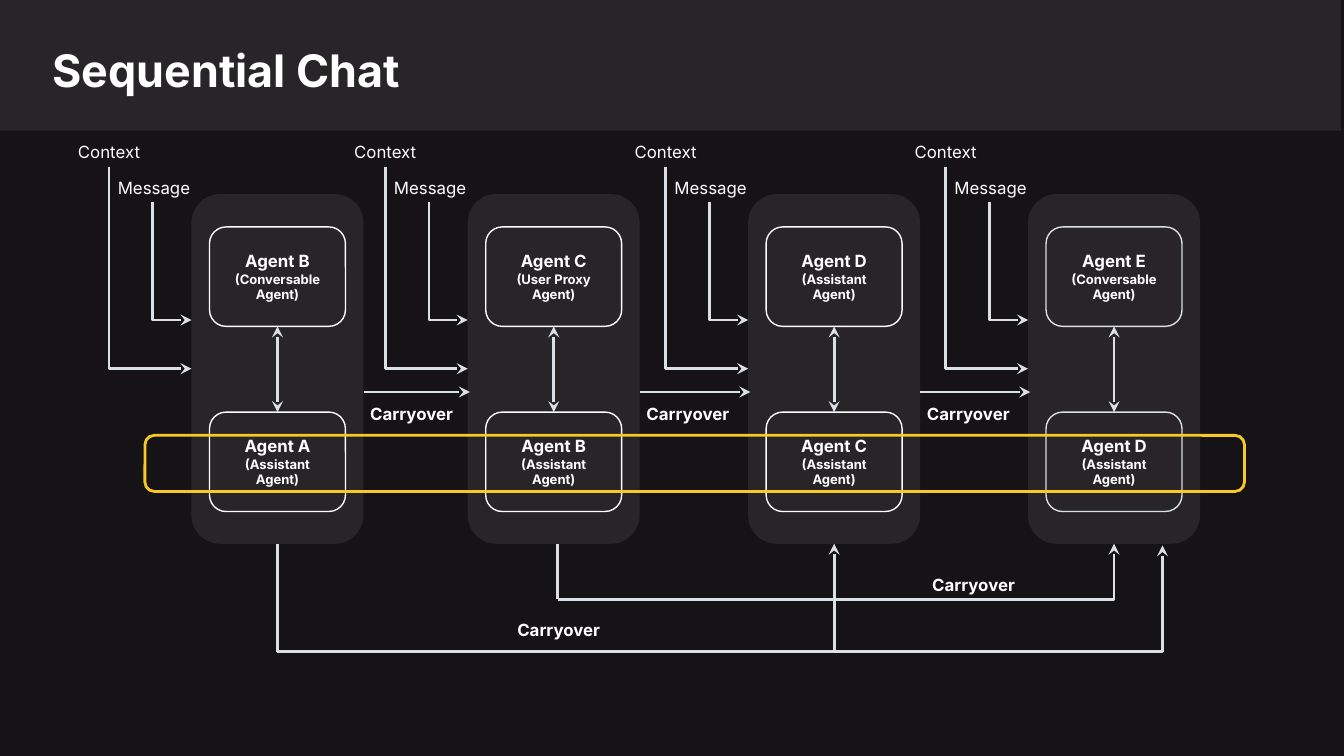
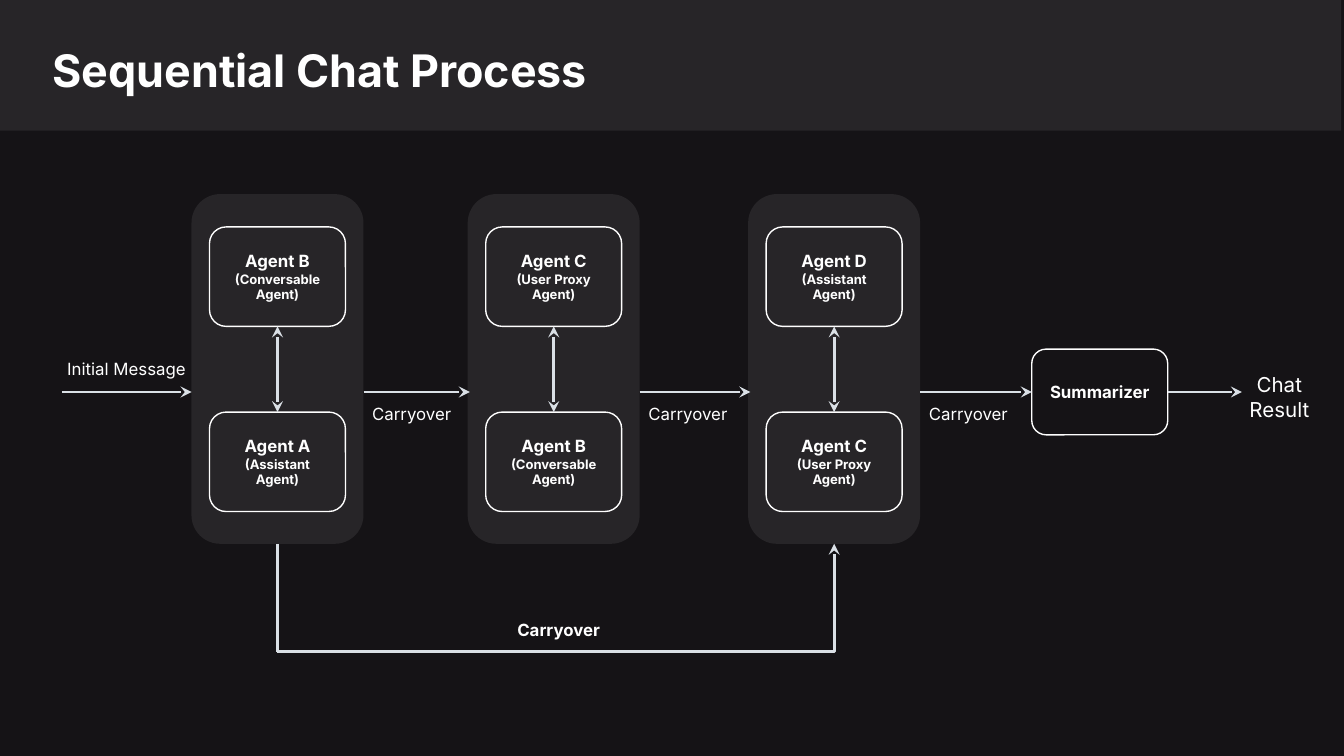
from dataclasses import dataclass
from itertools import pairwise

from lxml.etree import SubElement
from pptx import Presentation
from pptx.dml.color import RGBColor
from pptx.enum.shapes import MSO_CONNECTOR as Link, MSO_SHAPE as Preset
from pptx.enum.text import MSO_ANCHOR as Anchor, PP_ALIGN as Align
from pptx.oxml.ns import qn
from pptx.util import Cm, Pt

FONT = "Inter"
DARK, PANEL, WHITE, SILVER, YELLOW = "151316", "272528", "FFFFFF", "DAE0E6", "F9C823"

PANEL_TOP, PANEL_W, PANEL_H = 3.67, 3.25, 6.61
PANEL_BOTTOM = PANEL_TOP + PANEL_H
NODE_W, NODE_H = 2.57, 1.88
UPPER_Y, LOWER_Y = 4.29, 7.79
FLOW_Y = 7.41
CARRY_LABEL_Y = 7.83
TRUNK_Y, BRANCH_Y = 12.32, 11.33
INSET = 0.25
LABEL_H, INPUT_W, CARRY_W = 1.09, 3.25, 2.92
INPUT_SHIFT, CARRY_SHIFT = 0.25, 0.06


@dataclass(frozen=True)
class Line:
    text: str
    size: float = 9
    bold: bool = False


@dataclass(frozen=True)
class Agent:
    name: str
    role: str

    @property
    def lines(self) -> list[Line]:
        return [Line(f"Agent {self.name}", 9, True), Line(f"({self.role} Agent)", 7, True)]


@dataclass(frozen=True)
class Stage:
    left: float
    upper: Agent
    lower: Agent
    outline: str = WHITE

    @property
    def right(self) -> float:
        return self.left + PANEL_W

    @property
    def middle(self) -> float:
        return self.left + PANEL_W / 2


@dataclass(frozen=True)
class Input:
    text: str
    label_dx: float
    label_y: float
    arrow_dx: float
    start_y: float
    end_y: float


INPUTS = [
    Input("Context", -1.56, 2.87, -1.56, 3.15, 6.97),
    Input("Message", -0.71, 3.55, -0.73, 3.81, 6.05),
]

CHAT_STAGES = [
    Stage(3.62, Agent("B", "Conversable"), Agent("A", "Assistant")),
    Stage(8.84, Agent("C", "User Proxy"), Agent("B", "Assistant")),
    Stage(14.14, Agent("D", "Assistant"), Agent("C", "Assistant")),
    Stage(19.43, Agent("E", "Conversable"), Agent("D", "Assistant"), SILVER),
]

PROCESS_STAGES = [
    Stage(3.62, Agent("B", "Conversable"), Agent("A", "Assistant")),
    Stage(8.84, Agent("C", "User Proxy"), Agent("B", "Conversable")),
    Stage(14.14, Agent("D", "Assistant"), Agent("C", "User Proxy")),
]


def rgb(value: str) -> RGBColor:
    return RGBColor.from_string(value)


def write(tf, lines: list[Line], align=Align.CENTER, anchor=Anchor.MIDDLE,
          wrap: bool = True, shift: float = 0) -> None:
    tf.word_wrap = wrap
    tf.vertical_anchor = anchor
    tf.margin_left = tf.margin_right = Cm(INSET)
    tf.margin_top, tf.margin_bottom = Cm(INSET + shift), Cm(INSET - shift)
    for i, line in enumerate(lines):
        p = tf.add_paragraph() if i else tf.paragraphs[0]
        p.alignment = align
        r = p.add_run()
        r.text = line.text
        r.font.name = FONT
        r.font.size = Pt(line.size)
        r.font.bold = line.bold
        r.font.color.rgb = rgb(WHITE)


def box(slide, preset, x: float, y: float, w: float, h: float,
        fill: str = "", outline: str = "", weight: float = 0.75):
    sp = slide.shapes.add_shape(preset, Cm(x), Cm(y), Cm(w), Cm(h))
    sp.shadow.inherit = False
    if fill:
        sp.fill.solid()
        sp.fill.fore_color.rgb = rgb(fill)
    else:
        sp.fill.background()
    if outline:
        sp.line.color.rgb = rgb(outline)
        sp.line.width = Pt(weight)
    else:
        sp.line.fill.background()
    return sp


def node(slide, x: float, y: float, h: float, lines: list[Line], outline: str = WHITE):
    sp = box(slide, Preset.ROUNDED_RECTANGLE, x, y, NODE_W, h, outline=outline)
    write(sp.text_frame, lines, wrap=len(lines) > 1)
    return sp


def label(slide, cx: float, cy: float, lines: list[Line], w: float = INPUT_W,
          h: float = LABEL_H, shift: float = INPUT_SHIFT) -> None:
    sp = box(slide, Preset.ROUNDED_RECTANGLE, cx - w / 2, cy - shift - h / 2, w, h)
    write(sp.text_frame, lines, shift=shift)


def carry_label(slide, cx: float, cy: float, bold: bool = True) -> None:
    label(slide, cx, cy, [Line("Carryover", bold=bold)], CARRY_W, shift=CARRY_SHIFT)


def link(slide, kind, x1: float, y1: float, x2: float, y2: float,
         tail: bool = True, both: bool = False):
    c = slide.shapes.add_connector(kind, Cm(x1), Cm(y1), Cm(x2), Cm(y2))
    c.line.color.rgb = rgb(SILVER)
    c.line.width = Pt(1.5)
    spPr = c._element.spPr
    ln = spPr.find(qn("a:ln"))
    if both:
        SubElement(ln, qn("a:headEnd"), type="stealth")
    if tail:
        SubElement(ln, qn("a:tailEnd"), type="stealth")
    SubElement(spPr, qn("a:effectLst"))
    return c


def arrow(slide, x1: float, x2: float):
    return link(slide, Link.STRAIGHT, x1, FLOW_Y, x2, FLOW_Y)


def corner(slide, x1: float, y1: float, x2: float, y2: float):
    c = link(slide, Link.ELBOW, x1, y1, x2, y2)
    c._element.spPr.find(qn("a:prstGeom")).set("prst", "bentConnector2")
    return c


def down_corner(slide, x1: float, y1: float, x2: float, y2: float) -> None:
    cx, cy = (x1 + x2) / 2, (y1 + y2) / 2
    dx, dy = (x2 - x1) / 2, (y2 - y1) / 2
    c = corner(slide, cx - dy, cy - dx, cx + dy, cy + dx)
    xfrm = c._element.spPr.find(qn("a:xfrm"))
    xfrm.set("rot", "16200000")
    xfrm.set("flipH", "1")


def detour(slide, x1: float, x2: float, y: float) -> None:
    link(slide, Link.STRAIGHT, x1, PANEL_BOTTOM, x1, y, tail=False)
    corner(slide, x1, y, x2, PANEL_BOTTOM)


def draw_stage(slide, stage: Stage) -> None:
    box(slide, Preset.ROUNDED_RECTANGLE, stage.left, PANEL_TOP, PANEL_W, PANEL_H, fill=PANEL)
    x = stage.middle - NODE_W / 2
    upper = node(slide, x, UPPER_Y, NODE_H, stage.upper.lines, stage.outline)
    lower = node(slide, x, LOWER_Y, NODE_H, stage.lower.lines, stage.outline)
    c = link(slide, Link.STRAIGHT, stage.middle, UPPER_Y + NODE_H, stage.middle, LOWER_Y, both=True)
    c.begin_connect(upper, 2)
    c.end_connect(lower, 0)


def carry(slide, stage: Stage, end_x: float, bold: bool):
    carry_label(slide, stage.right + 0.91, CARRY_LABEL_Y, bold)
    return arrow(slide, stage.right, end_x)


def draw_stages(slide, stages: list[Stage], bold: bool) -> None:
    for stage in stages:
        draw_stage(slide, stage)
    for stage, following in pairwise(stages):
        carry(slide, stage, following.left + 0.04, bold)
    detour(slide, stages[0].middle, stages[2].middle, TRUNK_Y)
    carry_label(slide, 10.56, 11.91)


def new_slide(prs, title: str):
    slide = prs.slides.add_slide(prs.slide_layouts[5])
    band = box(slide, Preset.RECTANGLE, 0, 0, 25.35, 2.47, fill=PANEL)
    slide.shapes._spTree.insert(2, band._element)
    ph = slide.shapes.title
    ph.left, ph.top, ph.width, ph.height = Cm(0.74), Cm(0.55), Cm(22.2), Cm(1.47)
    write(ph.text_frame, [Line(title, 24, True)], Align.LEFT, Anchor.TOP)
    return slide


def chat_slide(prs) -> None:
    slide = new_slide(prs, "Sequential Chat")
    draw_stages(slide, CHAT_STAGES, bold=True)
    for stage in CHAT_STAGES:
        for item in INPUTS:
            label(slide, stage.left + item.label_dx, item.label_y, [Line(item.text)])
            down_corner(slide, stage.left + item.arrow_dx, item.start_y, stage.left, item.end_y)
    detour(slide, 10.54, CHAT_STAGES[3].middle, BRANCH_Y)
    carry_label(slide, 18.4, 11.05)
    corner(slide, CHAT_STAGES[2].middle, TRUNK_Y, 21.97, 10.31)
    box(slide, Preset.ROUNDED_RECTANGLE, 2.74, 8.23, 20.78, 1.06, outline=YELLOW, weight=1.5)


def process_slide(prs) -> None:
    slide = new_slide(prs, "Sequential Chat Process")
    draw_stages(slide, PROCESS_STAGES, bold=False)
    arrow(slide, 1.17, PROCESS_STAGES[0].left)
    label(slide, 2.39, 6.97, [Line("Initial Message")])
    summarizer = node(slide, 19.5, FLOW_Y - 0.81, 1.62, [Line("Summarizer", 9, True)])
    carry(slide, PROCESS_STAGES[-1], 19.5, bold=False).end_connect(summarizer, 1)
    arrow(slide, 22.07, 23.47).begin_connect(summarizer, 3)
    label(slide, 24.18, 7.5, [Line("Chat", 11), Line("Result", 11)], 2.3, 2.13, 0.11)


def main() -> None:
    prs = Presentation()
    prs.slide_width, prs.slide_height = Cm(25.4), Cm(14.29)
    fill = prs.slide_master.background.fill
    fill.solid()
    fill.fore_color.rgb = rgb(DARK)
    chat_slide(prs)
    process_slide(prs)
    prs.save("out.pptx")


if __name__ == "__main__":
    main()
